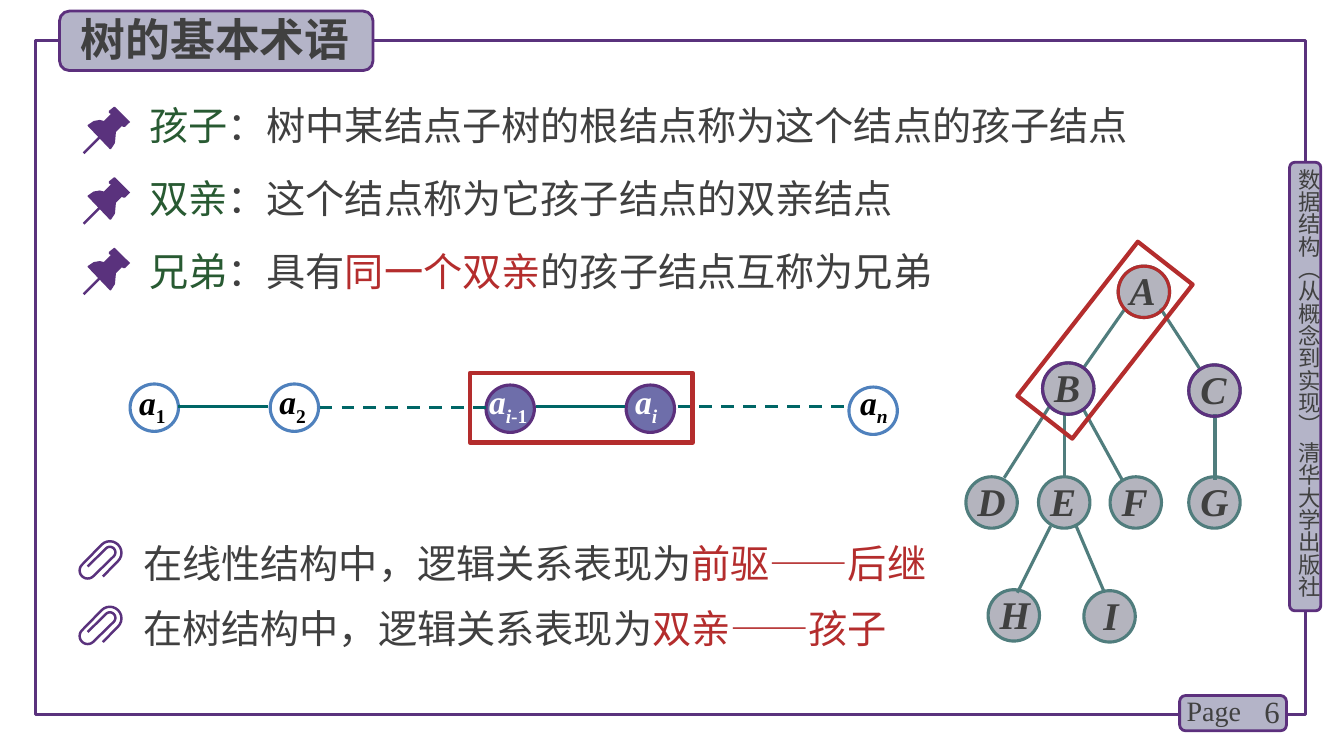
from dataclasses import dataclass
from math import cos, radians, sin

from lxml.etree import SubElement
from pptx import Presentation
from pptx.dml.color import RGBColor
from pptx.enum.dml import MSO_LINE
from pptx.enum.shapes import MSO_CONNECTOR, MSO_SHAPE
from pptx.enum.text import MSO_ANCHOR, PP_ALIGN
from pptx.oxml.ns import qn
from pptx.util import Inches, Pt


@dataclass(frozen=True)
class Theme:
    cjk: str = "Noto Sans CJK SC"
    serif: str = "Times New Roman"
    ink: str = "404040"
    black: str = "000000"
    white: str = "FFFFFF"
    green: str = "285A32"
    red: str = "B42D2D"
    purple: str = "5A327D"
    border: str = "5C307D"
    badge: str = "B4B4C8"
    node: str = "B4B4BE"
    edge: str = "507D7D"
    blue: str = "4F81BD"
    violet: str = "6E6EAA"
    teal: str = "006666"
    title_size: int = 32
    body_size: int = 28
    list_size: int = 24
    number_size: int = 22
    page_size: int = 20
    side_size: int = 16


class SlideBuilder:
    def __init__(self, slide, theme):
        self.slide = slide
        self.theme = theme

    def color(self, value):
        return RGBColor.from_string(value)

    def outline(self, shape, color, width):
        shape.line.color.rgb = self.color(color)
        shape.line.width = Pt(width)

    def shape(self, kind, box, fill=None, line=None, width=2.25, rotation=0):
        shape = self.slide.shapes.add_shape(kind, *map(Inches, box))
        shape.shadow.inherit = False
        shape.rotation = rotation
        if fill:
            shape.fill.solid()
            shape.fill.fore_color.rgb = self.color(fill)
        else:
            shape.fill.background()
        self.outline(shape, line, width)
        return shape

    def badge(self, box):
        self.shape(MSO_SHAPE.ROUNDED_RECTANGLE, box, self.theme.badge, self.theme.border, 2)

    def set_text(self, shape, runs, size, font, insets=(0.1, 0.05, 0.1, 0.05), bold=False,
                 italic=False, align=PP_ALIGN.LEFT, anchor=MSO_ANCHOR.TOP, spacing=None):
        """Fill a shape with one paragraph; each run is (text, colour, style), style "sub" or "upright"."""
        frame = shape.text_frame
        frame.word_wrap = True
        frame.vertical_anchor = anchor
        (frame.margin_left, frame.margin_top,
         frame.margin_right, frame.margin_bottom) = map(Inches, insets)
        paragraph = frame.paragraphs[0]
        paragraph.alignment = align
        if spacing:
            paragraph.line_spacing = spacing
        paragraph.font.size = Pt(size)
        paragraph.font.name = font
        paragraph.font.bold = bold
        paragraph.font.italic = italic
        default = paragraph._p.pPr.find(qn("a:defRPr"))
        SubElement(default, qn("a:ea")).set("typeface", font)
        for text, color, style in runs:
            run = paragraph.add_run()
            run.text = text
            run.font.color.rgb = self.color(color)
            if style:
                run._r.get_or_add_rPr().set("baseline", "-25000")
            if style == "upright":
                run.font.italic = False

    def text(self, box, runs, size, font, **style):
        shape = self.slide.shapes.add_textbox(*map(Inches, box))
        self.set_text(shape, runs, size, font, **style)
        return shape

    def title(self, text, box):
        title = self.slide.shapes.title
        title.left, title.top, title.width, title.height = map(Inches, box)
        self.set_text(title, [(text, self.theme.ink, None)], self.theme.title_size,
                      self.theme.cjk, bold=True)
        self.slide.shapes._spTree.append(title.element)  # in front of its badge

    def line(self, start, end, color, width=2.25, dashed=False):
        line = self.slide.shapes.add_connector(
            MSO_CONNECTOR.STRAIGHT, *map(Inches, (*start, *end)))
        self.outline(line, color, width)
        if dashed:
            line.line.dash_style = MSO_LINE.DASH
        SubElement(line.element.spPr, qn("a:effectLst"))

    def freeform(self, points, left, top, closed):
        vertices = [(Inches(left + x), Inches(top + y)) for x, y in points]
        builder = self.slide.shapes.build_freeform(*vertices[0])
        builder.add_line_segments(vertices[1:], close=closed)
        shape = builder.convert_to_shape()
        shape.shadow.inherit = False
        return shape

    def pin(self, left, top):
        head = [(0.47, 0.14), (0.33, 0), (0.32, 0), (0.27, 0.04), (0.27, 0.06), (0.29, 0.07),
                (0.22, 0.14), (0.18, 0.13), (0.12, 0.14), (0.06, 0.18), (0.06, 0.19),
                (0.28, 0.42), (0.29, 0.42), (0.33, 0.36), (0.34, 0.25), (0.4, 0.19),
                (0.41, 0.2), (0.43, 0.2), (0.47, 0.16), (0.48, 0.15)]
        shape = self.freeform(head, left, top, True)
        shape.fill.solid()
        shape.fill.fore_color.rgb = self.color(self.theme.purple)
        shape.line.fill.background()
        self.line((left + 0.02, top + 0.46), (left + 0.18, top + 0.3), self.theme.purple, 1.75)

    def clip(self, left, top):
        """A paper clip: one wire through three half turns."""
        wire = [(0.25, 0.36)]
        for x, y, radius, first in ((0.32, 0.125, 0.115, 45), (0.1, 0.3, 0.08, -135),
                                    (0.32, 0.12, 0.055, 45)):
            angles = [radians(first - step) for step in range(0, 181, 15)]
            wire += [(x + radius * cos(a), y + radius * sin(a)) for a in angles]
        wire.append((0.1, 0.26))
        shape = self.freeform(wire, left, top, False)
        shape.fill.background()
        self.outline(shape, self.theme.purple, 1.75)

    def statement(self, left, top, width, runs):
        self.text((left, top, width, 0.53), [(*run, None) for run in runs], self.theme.body_size,
                  self.theme.cjk, insets=(0.04, 0.05, 0, 0.05), spacing=0.9)

    def tree_node(self, letter, left, top):
        node = self.shape(MSO_SHAPE.OVAL, (left, top, 0.51, 0.51), self.theme.node, self.theme.edge)
        inset = 0.12 if letter == "I" else 0.04
        self.set_text(node, [(letter, self.theme.ink, None)], self.theme.body_size,
                      self.theme.serif, insets=(inset, 0.02, 0.04, 0.04), bold=True,
                      italic=True, spacing=0.8)

    def list_node(self, left, top, fill, line):
        self.shape(MSO_SHAPE.OVAL, (left, top, 0.48, 0.47), fill, line)

    def list_label(self, left, top, color, subscripts):
        runs = [("a", color, None)] + [(text, color, style) for text, style in subscripts]
        self.text((left, top, 0.61, 0.56), runs, self.theme.list_size, self.theme.serif,
                  insets=(0.01, 0.03, 0, 0.01), bold=True, italic=True)


def draw_frame(builder, theme):
    builder.shape(MSO_SHAPE.RECTANGLE, (0.35, 0.4, 12.6, 6.69), None, theme.purple)
    for box in ((12.79, 1.61, 0.31, 4.45), (11.7, 6.9, 1.06, 0.35), (0.59, 0.11, 3.11, 0.59)):
        builder.badge(box)
    side = builder.text((12.85, 1.67, 0.27, 4.49),
                        [("数据结构（从概念到实现） 清华大学出版社", theme.ink, None)],
                        theme.side_size, theme.cjk, insets=(0, 0, 0, 0))
    side.element.txBody.bodyPr.set("vert", "eaVert")
    builder.text((12.2, 6.86, 0.59, 0.4), [("6", theme.ink, None)], theme.number_size,
                 theme.serif, align=PP_ALIGN.RIGHT, anchor=MSO_ANCHOR.MIDDLE)
    builder.text((11.67, 6.83, 0.78, 0.44), [("Page", theme.ink, None)],
                 theme.page_size, theme.serif)
    builder.title("树的基本术语", (0.7, 0.07, 2.96, 0.64))


def draw_statements(builder, theme):
    definitions = [
        [("孩子", theme.green), ("：树中某结点子树的根结点称为这个结点的孩子结点", theme.ink)],
        [("双亲", theme.green), ("：这个结点称为它孩子结点的双亲结点", theme.ink)],
        [("兄弟", theme.green), ("：具有", theme.ink), ("同一个双亲", theme.red),
         ("的孩子结点互称为兄弟", theme.ink)],
    ]
    for row, runs in enumerate(definitions):
        builder.statement(1.44, 1.01 + 0.725 * row, 10.86, runs)
        builder.pin(0.81, 1.06 + 0.7 * row)
    summaries = (("在线性结构中，逻辑关系表现为", "前驱——后继"),
                 ("在树结构中，逻辑关系表现为", "双亲——孩子"))
    for row, (lead, relation) in enumerate(summaries):
        builder.statement(1.38, 5.35 + 0.65 * row, 7.99, [(lead, theme.ink), (relation, theme.red)])
        builder.clip(0.77, 5.36 + 0.65 * row)


def draw_tree(builder, theme):
    nodes = {"A": (11.09, 2.64), "C": (11.79, 3.62), "B": (10.34, 3.6), "G": (11.79, 4.73),
             "F": (11.01, 4.73), "E": (10.3, 4.73), "D": (9.58, 4.73), "H": (9.8, 5.85),
             "I": (10.75, 5.86)}
    for letter, place in nodes.items():
        builder.tree_node(letter, *place)
    edges = [((11.16, 3.06), (10.74, 3.66)), ((11.51, 3.06), (11.9, 3.66)),
             ((12.05, 4.11), (12.05, 4.76)), ((10.56, 4.1), (10.56, 4.74)),
             ((10.74, 4.05), (11.13, 4.76)), ((10.67, 5.21), (10.95, 5.87)),
             ((10.41, 4.03), (9.96, 4.74)), ((10.42, 5.22), (10.09, 5.88))]
    for start, end in edges:
        builder.line(start, end, theme.edge)
    for letter, color in (("A", theme.red), ("B", theme.border), ("C", theme.border)):
        builder.shape(MSO_SHAPE.OVAL, (*nodes[letter], 0.51, 0.51), None, color)
    builder.shape(MSO_SHAPE.RECTANGLE, (9.99, 3.03, 1.94, 0.69), None, theme.red, 3, 308)


def draw_linear_list(builder, theme):
    for left, top in ((1.29, 3.81), (2.68, 3.81), (8.42, 3.84)):
        builder.list_node(left, top, None, theme.blue)
    for left in (4.82, 6.21):
        builder.list_node(left, 3.82, theme.violet, theme.border)
    for start, end, y, dashed in ((1.77, 2.66, 4.03, False), (5.32, 6.2, 4.03, False),
                                  (6.72, 8.4, 4.03, True), (3.17, 4.85, 4.04, True)):
        builder.line((start, y), (end, y), theme.teal, dashed=dashed)
    for left, top, color, subscripts in (
            (1.37, 3.76, theme.black, [("1", "upright")]),
            (2.76, 3.75, theme.black, [("2", "upright")]),
            (4.84, 3.75, theme.white, [("i", "sub"), ("-1", "upright")]),
            (6.29, 3.75, theme.white, [("i", "sub")]),
            (8.52, 3.76, theme.black, [("n", "sub")])):
        builder.list_label(left, top, color, subscripts)
    builder.shape(MSO_SHAPE.RECTANGLE, (4.66, 3.7, 2.21, 0.69), None, theme.red, 3)


def main():
    presentation = Presentation()
    presentation.slide_width = Inches(13.33)
    presentation.slide_height = Inches(7.5)
    slide = presentation.slides.add_slide(presentation.slide_layouts[5])
    theme = Theme()
    builder = SlideBuilder(slide, theme)
    for draw in (draw_frame, draw_tree, draw_statements, draw_linear_list):
        draw(builder, theme)
    presentation.save("out.pptx")


if __name__ == "__main__":
    main()
